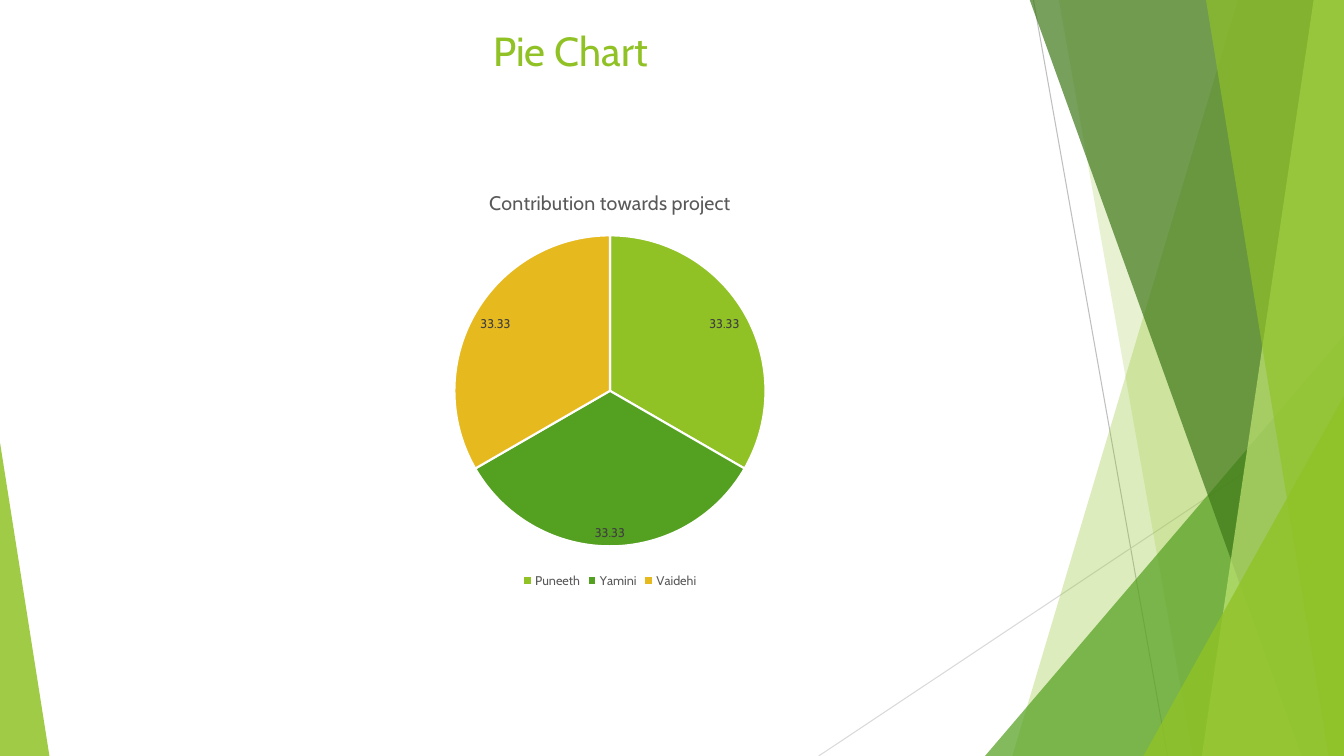
from lxml import etree
from pptx import Presentation
from pptx.chart.data import CategoryChartData
from pptx.dml.color import RGBColor
from pptx.enum.chart import XL_CHART_TYPE as CT, XL_LABEL_POSITION as LabelPos, XL_LEGEND_POSITION as LegendPos
from pptx.enum.shapes import MSO_CONNECTOR as Conn, MSO_SHAPE as Shp
from pptx.enum.text import PP_ALIGN as Align
from pptx.oxml import parse_xml
from pptx.oxml.ns import nsdecls, qn
from pptx.util import Inches, Pt

FONT = "Cabin"
LIME = RGBColor(0x90, 0xC2, 0x26)
GREEN = RGBColor(0x54, 0xA0, 0x21)
GOLD = RGBColor(0xE6, 0xB9, 0x1E)
FOREST = RGBColor(0x3F, 0x78, 0x19)
PALE = RGBColor(0xC0, 0xE4, 0x74)
SILVER = RGBColor(0xBF, 0xBF, 0xBF)
MIST = RGBColor(0xD9, 0xD9, 0xD9)
GREY = RGBColor(0x59, 0x59, 0x59)
DARK = RGBColor(0x40, 0x40, 0x40)
WHITE = RGBColor(0xFF, 0xFF, 0xFF)

# Content
TITLE = "Pie Chart"
CHART_TITLE = "Contribution towards project"
SHARES = [("Puneeth", 33.33, LIME), ("Yamini", 33.33, GREEN), ("Vaidehi", 33.33, GOLD)]

# Geometry in inches
W, H, TOP = 13.33, 7.5, -0.01
TITLE_BOX = (1.88, 0.21, 7.56, 0.59)
CHART_BOX = (3.07, 1.71, 5.96, 4.17)
PLOT_SHARE = {"x": 0.24, "y": 0.15, "w": 0.52, "h": 0.74}

# Thin lines: start, end, colour
RAYS = [((10.25, 0), (11.58, H), SILVER), ((W, 4.03), (8.12, H), MIST)]
# Bands run to the right edge: left x at top, left x at bottom, colour, opacity %
# Corners rise from the bottom: left x, top y, width, apex share, colour, opacity %
FACETS = [
    ("band", 12.28, 10.04, LIME, 30),
    ("band", 10.5, 11.83, LIME, 20),
    ("corner", 9.77, 3.33, 3.56, 1, GREEN, 72),
    ("band", 10.21, 12.91, FOREST, 70),
    ("band", 13.03, 11.92, PALE, 70),
    ("band", 11.96, 13.18, LIME, 65),
    ("corner", 11.34, 3.93, 1.99, 1, LIME, 80),
    ("corner", 0, 4.39, 0.49, 0, LIME, 85),
]


def inches(values):
    return [Inches(v) for v in values]


def style_font(font, size, color):
    font.name, font.size, font.bold = FONT, Pt(size), False
    font.color.rgb = color


def add_ray(s, start, end, color):
    line = s.shapes.add_connector(Conn.STRAIGHT, *inches(start + end))
    line.line.color.rgb = color
    line.line.width = Pt(0.75)
    etree.SubElement(line._element.spPr, qn("a:effectLst"))


def add_facet(s, kind, *geometry, color, opacity):
    if kind == "band":
        top_x, bottom_x = geometry
        corners = [(top_x, TOP), (W, TOP), (W, H), (bottom_x, H)]
        points = [tuple(inches(c)) for c in corners]
        outline = s.shapes.build_freeform(*points[0], scale=1.0)
        outline.add_line_segments(points[1:], close=True)
        sp = outline.convert_to_shape()
    else:
        left, top, width, apex = geometry
        sp = s.shapes.add_shape(Shp.ISOSCELES_TRIANGLE, *inches((left, top, width, H - top)))
        sp.adjustments[0] = apex
    sp.shadow.inherit = False
    sp.line.fill.background()
    sp.fill.solid()
    sp.fill.fore_color.rgb = color
    clr = sp._element.spPr.find(qn("a:solidFill")).find(qn("a:srgbClr"))
    etree.SubElement(clr, qn("a:alpha"), val=str(opacity * 1000))


def add_pie(s):
    data = CategoryChartData()
    data.categories = [name for name, _, _ in SHARES]
    data.add_series("Series 1", [value for _, value, _ in SHARES])
    chart = s.shapes.add_chart(CT.PIE, *inches(CHART_BOX), data).chart
    style_font(chart.font, 10, RGBColor(0, 0, 0))

    chart.has_title = True
    r = chart.chart_title.text_frame.paragraphs[0].add_run()
    r.text = CHART_TITLE
    style_font(r.font, 14, GREY)

    chart.has_legend = True
    chart.legend.position = LegendPos.BOTTOM
    chart.legend.include_in_layout = False
    style_font(chart.legend.font, 9, GREY)

    plot = chart.plots[0]
    plot.vary_by_categories = True
    for i, (_, _, color) in enumerate(SHARES):
        fmt = plot.series[0].points[i].format
        fmt.fill.solid()
        fmt.fill.fore_color.rgb = color
        fmt.line.color.rgb = WHITE
        fmt.line.width = Pt(1.5)
    labels = plot.series[0].data_labels
    labels.show_value = True
    labels.position = LabelPos.INSIDE_END
    style_font(labels.font, 9, DARK)

    # Fixed pie area inside the chart frame
    area = chart._chartSpace.chart.plotArea
    for old in area.findall(qn("c:layout")):
        area.remove(old)
    sides = "".join(f'<c:{k} val="{v}"/>' for k, v in PLOT_SHARE.items())
    area.insert(0, parse_xml(
        f'<c:layout {nsdecls("c")}><c:manualLayout><c:layoutTarget val="inner"/>'
        f'<c:xMode val="edge"/><c:yMode val="edge"/>{sides}</c:manualLayout></c:layout>'))


def add_title(s):
    tf = s.shapes.add_textbox(*inches(TITLE_BOX)).text_frame
    tf.word_wrap = True
    p = tf.paragraphs[0]
    p.alignment = Align.CENTER
    r = p.add_run()
    r.text = TITLE
    style_font(r.font, 29, LIME)


def main():
    prs = Presentation()
    prs.slide_width, prs.slide_height = inches((W, H))
    s = prs.slides.add_slide(prs.slide_layouts[6])
    # Backdrop
    for ray in RAYS:
        add_ray(s, *ray)
    for *shape, color, opacity in FACETS:
        add_facet(s, *shape, color=color, opacity=opacity)
    # Chart and heading
    add_pie(s)
    add_title(s)
    prs.save("out.pptx")


if __name__ == "__main__":
    main()
